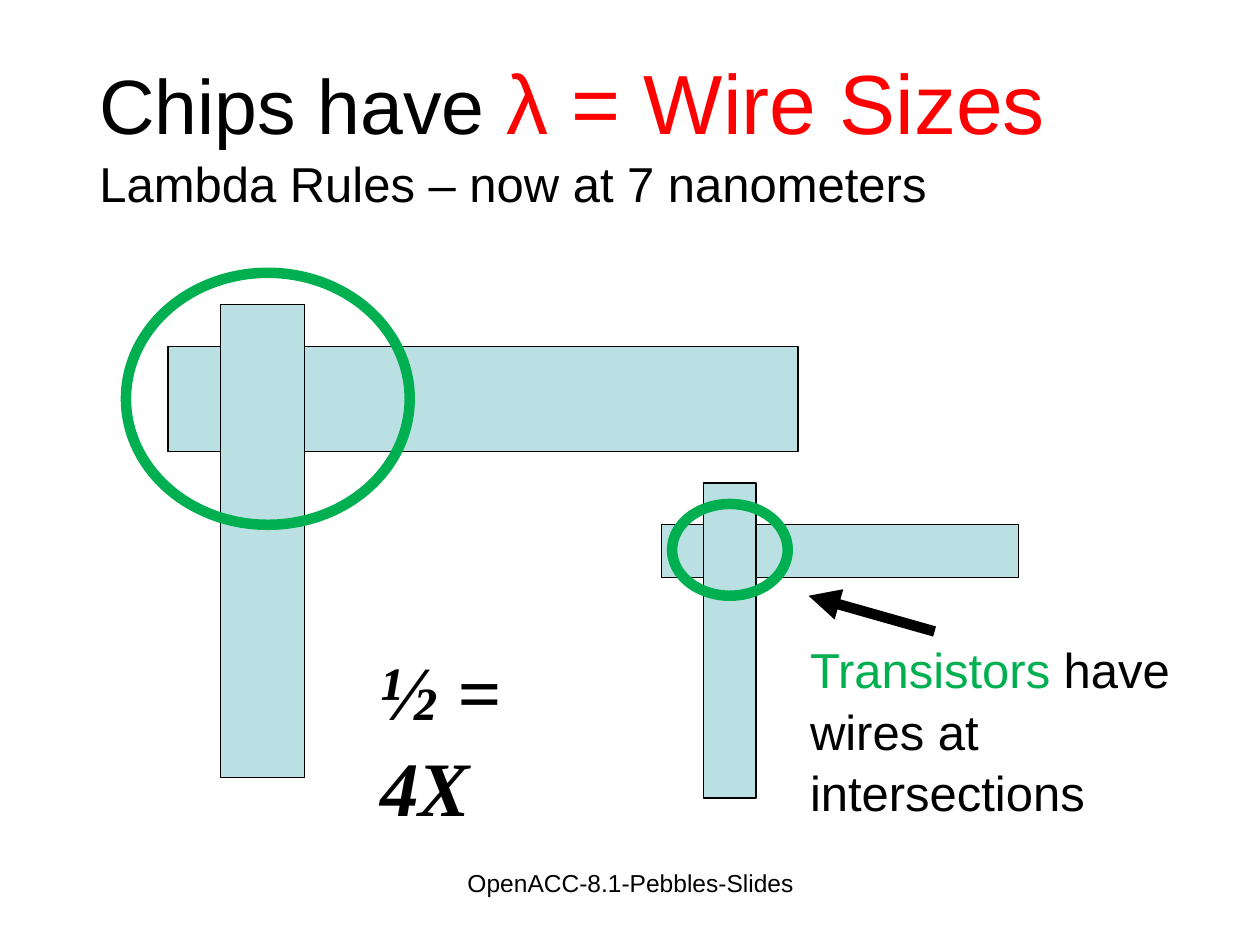
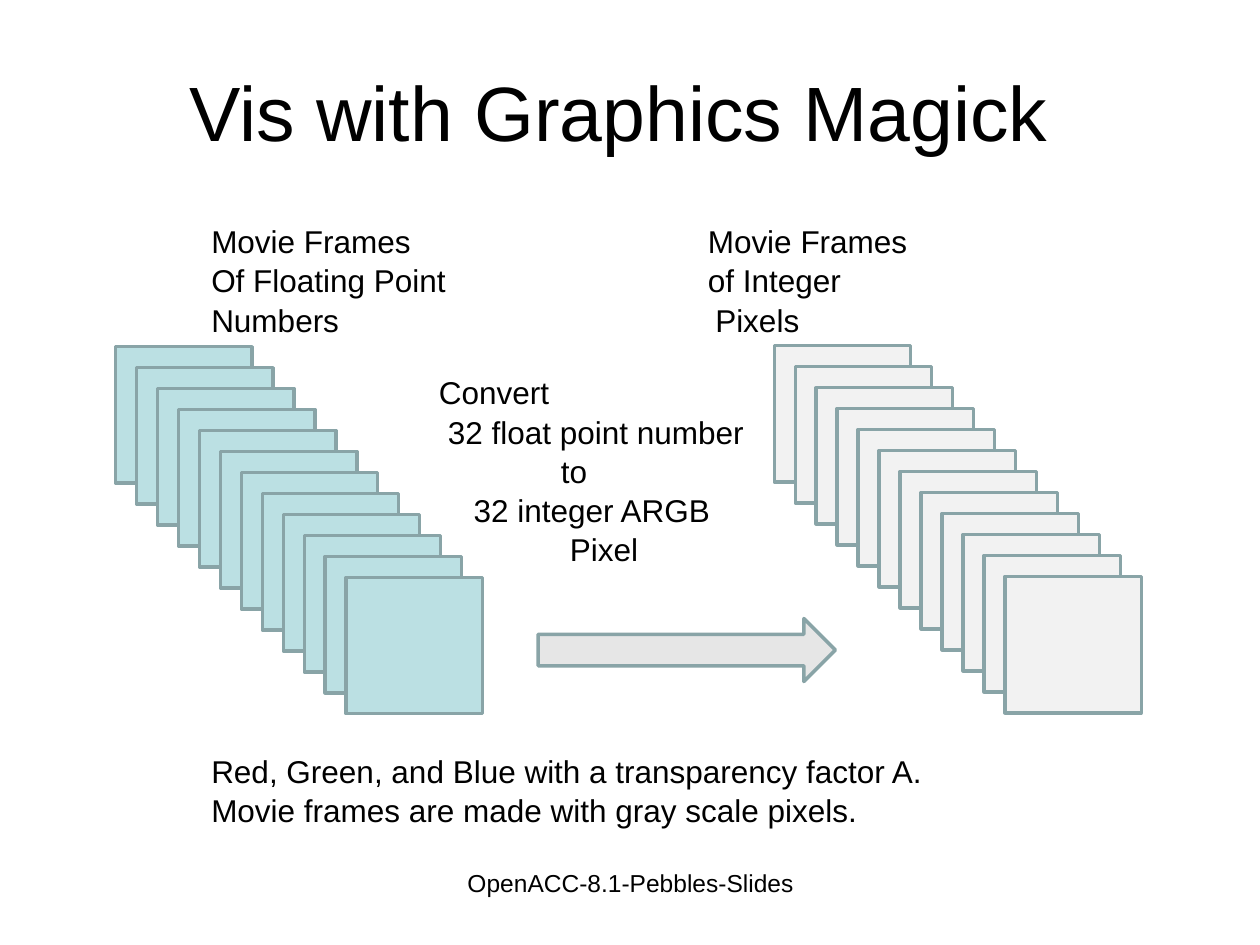
from lxml.etree import SubElement
from pptx import Presentation
from pptx.dml.color import RGBColor
from pptx.enum.shapes import MSO_CONNECTOR, MSO_SHAPE
from pptx.enum.text import MSO_ANCHOR, MSO_AUTO_SIZE, PP_ALIGN
from pptx.oxml.ns import qn
from pptx.util import Cm, Pt

BLACK, RED, GREEN = "000000", "FF0000", "00B050"
TEAL, TEAL_EDGE = "BBE0E3", "89A4A7"
FRAME_GRAY, ARROW_GRAY = "F2F2F2", "E6E6E6"
FONT = "Arial"
LINE_SPACING = 1.04
FOOTER = "OpenACC-8.1-Pebbles-Slides"
FRAMES, FRAME_SIZE = 12, 2.75
FRAME_STEP = 4.65 / (FRAMES - 1)


def rgb(value):
    return RGBColor.from_string(value)


def cm(*lengths):
    return [Cm(v) for v in lengths]


def add_run(p, text, size=18, color=BLACK, font=FONT, bold=False, italic=False):
    r = p.add_run()
    r.text = text
    r.font.size, r.font.name = Pt(size), font
    r.font.bold, r.font.italic = bold, italic
    r.font.color.rgb = rgb(color)


def format_paragraph(p, align=PP_ALIGN.LEFT, indent=0):
    p.alignment = align
    p.line_spacing = LINE_SPACING
    if indent:
        pPr = p._p.get_or_add_pPr()
        pPr.set("marL", str(Cm(indent)))
        pPr.set("indent", "0")


def add_text(slide, box, lines, align=PP_ALIGN.LEFT, wrap=True, indents=(), **fmt):
    """Add a text box with one paragraph per line; indents are in cm."""
    tf = slide.shapes.add_textbox(*cm(*box)).text_frame
    tf.word_wrap = wrap
    for i, line in enumerate(lines):
        p = tf.paragraphs[0] if i == 0 else tf.add_paragraph()
        format_paragraph(p, align, indents[i] if indents else 0)
        add_run(p, line, **fmt)
    return tf


def add_titled_slide(prs, box, align):
    """Add a slide with its footer; return it and the title paragraph."""
    slide = prs.slides.add_slide(prs.slide_layouts[5])
    title = slide.shapes.title
    title.left, title.top, title.width, title.height = cm(*box)
    tf = title.text_frame
    tf.auto_size = MSO_AUTO_SIZE.NONE
    tf.vertical_anchor = MSO_ANCHOR.MIDDLE
    p = tf.paragraphs[0]
    format_paragraph(p, align)
    add_text(slide, (8.69, 17.35, 8.05, 1.32), [FOOTER],
             align=PP_ALIGN.CENTER, size=14)
    return slide, p


def add_shape(slide, kind, box, fill=None, line=BLACK, width=0.75):
    sp = slide.shapes.add_shape(kind, *cm(*box))
    sp.shadow.inherit = False
    if fill:
        sp.fill.solid()
        sp.fill.fore_color.rgb = rgb(fill)
    else:
        sp.fill.background()
    sp.line.color.rgb = rgb(line)
    sp.line.width = Pt(width)


def add_arrow(slide, start, end, color=BLACK, width=6):
    line = slide.shapes.add_connector(MSO_CONNECTOR.STRAIGHT, *cm(*start, *end))
    line.line.color.rgb = rgb(color)
    line.line.width = Pt(width)
    SubElement(line.line._get_or_add_ln(), qn("a:tailEnd"), type="triangle")
    SubElement(line._element.spPr, qn("a:effectLst"))


def add_frame_stack(slide, left, top, fill):
    for i in range(FRAMES):
        shift = i * FRAME_STEP
        add_shape(slide, MSO_SHAPE.RECTANGLE,
                  (left + shift, top + shift, FRAME_SIZE, FRAME_SIZE),
                  fill, TEAL_EDGE, 2)


def build_wire_sizes(prs):
    slide, p = add_titled_slide(prs, (1.75, 0.2, 21.59, 4.83), PP_ALIGN.LEFT)
    add_run(p, "Chips have ", size=44)
    add_run(p, "λ = Wire Sizes", size=48, color=RED)
    p.add_line_break()
    add_run(p, "Lambda Rules – now at 7 nanometers", size=28)

    wires = [(3.39, 6.99, 12.7, 2.12), (4.45, 6.14, 1.69, 9.53),
             (13.34, 10.58, 7.2, 1.06), (14.18, 9.74, 1.06, 6.35)]
    for wire in wires:
        add_shape(slide, MSO_SHAPE.RECTANGLE, wire, TEAL)
    add_text(slide, (7.42, 12.78, 5.13, 2.13), ["½ = 4X"], wrap=False, size=44,
             font="Times New Roman", bold=True, italic=True)
    for transistor in [(2.54, 5.5, 5.72, 5.08), (13.55, 10.16, 2.33, 1.85)]:
        add_shape(slide, MSO_SHAPE.OVAL, transistor, line=GREEN, width=6)
    add_arrow(slide, (18.84, 12.73), (16.3, 12.01))
    tf = add_text(slide, (16.08, 12.73, 7.85, 3.81), ["Transistors"],
                  size=28, color=GREEN)
    add_run(tf.paragraphs[0], " have wires at intersections", size=28)


def build_frame_conversion(prs):
    slide, p = add_titled_slide(prs, (1.05, 0.61, 22.86, 3.18), PP_ALIGN.CENTER)
    add_run(p, "Vis with Graphics Magick", size=44)

    add_frame_stack(slide, 2.33, 6.99, TEAL)
    add_frame_stack(slide, 15.61, 6.97, FRAME_GRAY)
    add_text(slide, (4.01, 4.32, 6, 2.54),
             ["Movie Frames", "Of Floating Point", "Numbers"], wrap=False)
    add_text(slide, (14.02, 4.32, 5, 2.54),
             ["Movie Frames", "of Integer", "Pixels"],
             wrap=False, indents=(0, 0, 0.15))
    add_text(slide, (8.6, 7.37, 6.8, 4.06),
             ["Convert", "32 float point number", "to", "32 integer ARGB", "Pixel"],
             wrap=False, indents=(0, 0.18, 2.46, 0.7, 2.64))
    add_text(slide, (4.01, 15, 15, 1.78),
             ["Red, Green, and Blue with a transparency factor A.",
              "Movie frames are made with gray scale pixels."], wrap=False)
    add_shape(slide, MSO_SHAPE.RIGHT_ARROW, (10.85, 12.47, 5.99, 1.27),
              ARROW_GRAY, TEAL_EDGE, 2)


def main():
    prs = Presentation()
    prs.slide_width, prs.slide_height = cm(25.4, 19.05)
    build_wire_sizes(prs)
    build_frame_conversion(prs)
    prs.save("out.pptx")


if __name__ == "__main__":
    main()
